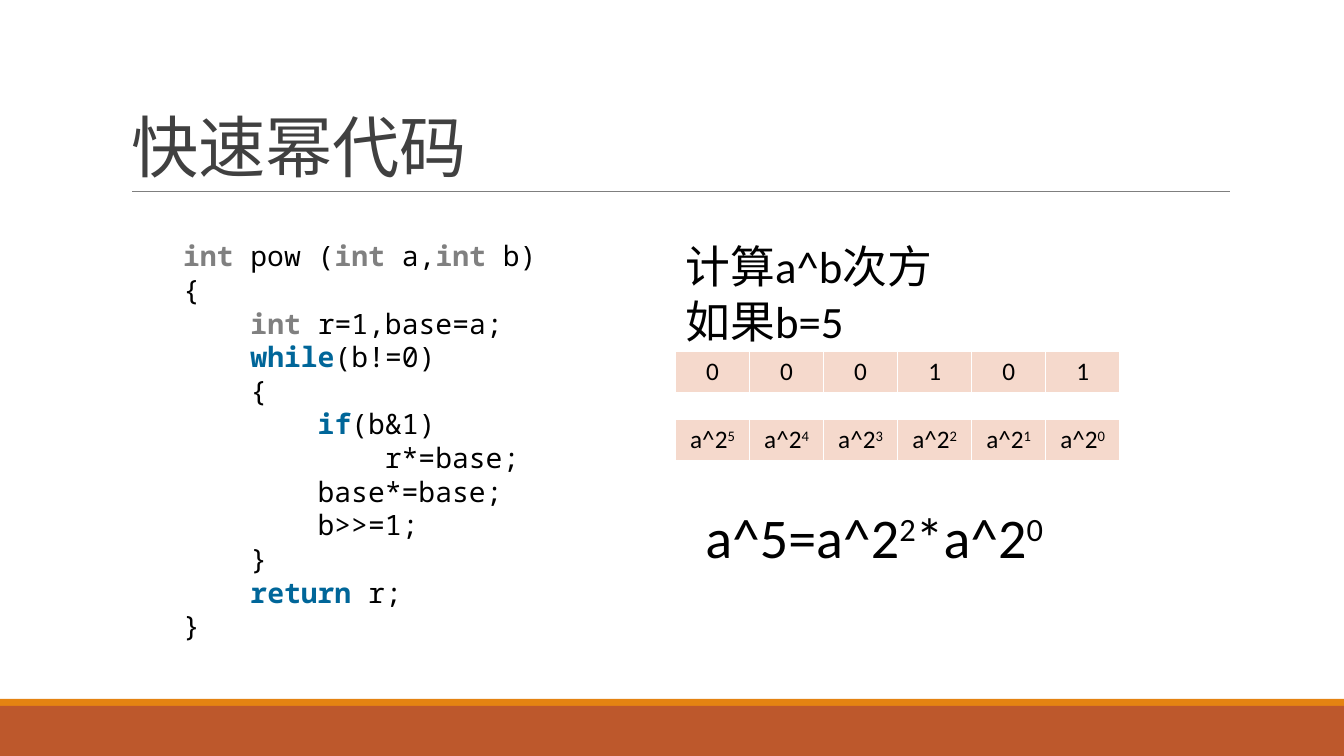
from lxml import etree
from pptx import Presentation
from pptx.dml.color import RGBColor
from pptx.enum.shapes import MSO_CONNECTOR, MSO_SHAPE
from pptx.enum.text import MSO_ANCHOR, PP_ALIGN
from pptx.oxml.ns import qn
from pptx.util import Pt

PX = 9080  # EMU per px
W, H = 1343, 755
LEFT, CENTER = PP_ALIGN.LEFT, PP_ALIGN.CENTER
TOP, MIDDLE, BOTTOM = MSO_ANCHOR.TOP, MSO_ANCHOR.MIDDLE, MSO_ANCHOR.BOTTOM
RECT, STRAIGHT = MSO_SHAPE.RECTANGLE, MSO_CONNECTOR.STRAIGHT

BODY, CJK, MONO = "Calibri", "Noto Sans CJK SC", "Noto Sans Mono"
BLACK, TYPE, KEYWORD = "000000", "808080", "006699"
COLORS = {"int": TYPE, "while": KEYWORD, "if": KEYWORD, "return": KEYWORD}

CODE = """int pow (int a,int b)
{
    int r=1,base=a;
    while(b!=0)
    {
        if(b&1)
            r*=base;
        base*=base;
        b>>=1;
    }
    return r;
}"""


def px(*lengths):
    return [round(n * PX) for n in lengths]


def rgb(color):
    return RGBColor.from_string(color)


def add_run(p, text, size=18, font=BODY, color=BLACK, bold=False, raised=False):
    r = p.add_run()
    r.text = text
    r.font.size, r.font.name, r.font.bold = Pt(size), font, bold
    r.font.color.rgb = rgb(color)
    rPr = r.font._element
    etree.SubElement(rPr, qn("a:ea")).set("typeface", CJK)
    if raised:
        rPr.set("baseline", "30000")


def add_powers(p, parts, size):
    """Every second part is an exponent."""
    for i, part in enumerate(parts):
        add_run(p, part, size=size, raised=i % 2 == 1)


def add_text_box(slide, box, anchor=TOP, inset=True):
    tf = slide.shapes.add_textbox(*px(*box)).text_frame
    tf.word_wrap = True
    tf.vertical_anchor = anchor
    if not inset:
        tf.margin_left = tf.margin_right = tf.margin_top = tf.margin_bottom = 0
    return tf


def add_lines(tf, lines, spacing):
    for i, line in enumerate(lines):
        p = tf.paragraphs[0] if i == 0 else tf.add_paragraph()
        p.line_spacing = Pt(spacing)
        yield p, line


def footer_bands(slide, box):
    x, y, w, h = box
    for top, height, color in ((y, 7, "E48312"), (y + 7, h - 7, "BD582C")):
        sp = slide.shapes.add_shape(RECT, *px(x, top, w, height))
        sp.shadow.inherit = False
        sp.fill.solid()
        sp.fill.fore_color.rgb = rgb(color)
        sp.line.fill.background()


def heading(slide, box, text):
    x, y, w, h = box
    rule = slide.shapes.add_connector(
        STRAIGHT, *px(x + 11, y + h, x + w, y + h))
    rule.line.color.rgb = rgb("7F7F7F")
    rule.line.width = Pt(0.5)
    etree.SubElement(rule._element.spPr, qn("a:effectLst"))

    title = slide.shapes.title
    title.left, title.top, title.width, title.height = px(*box)
    tf = title.text_frame
    tf.vertical_anchor = BOTTOM
    p = tf.paragraphs[0]
    p.alignment, p.line_spacing = LEFT, 0.85
    add_run(p, text, size=48, font=CJK, color="404040")


def code_listing(slide, box):
    tf = add_text_box(slide, box, anchor=MIDDLE, inset=False)
    for p, line in add_lines(tf, CODE.split("\n"), 24):
        # Split around keywords so each gets its own colour
        spaced = line.replace("(", " ( ").replace(",", " , ")
        words = [word for word in spaced.split() if word in COLORS]
        rest = line
        for word in words:
            before, rest = rest.split(word, 1)
            if before:
                add_run(p, before, size=20, font=MONO)
            add_run(p, word, size=20, font=MONO, color=COLORS[word], bold=True)
        if rest:
            add_run(p, rest, size=20, font=MONO)


def style_cell_border(cell):
    tcPr = cell._tc.get_or_add_tcPr()
    for i, side in enumerate(("a:lnL", "a:lnR", "a:lnT", "a:lnB")):
        ln = etree.Element(qn(side), w=str(Pt(0.45)))
        fill = etree.SubElement(ln, qn("a:solidFill"))
        etree.SubElement(fill, qn("a:srgbClr")).set("val", "FFFFFF")
        tcPr.insert(i, ln)


def one_row_table(slide, box, cells):
    table = slide.shapes.add_table(1, len(cells), *px(*box)).table
    for cell, parts in zip(table.rows[0].cells, cells):
        cell.fill.solid()
        cell.fill.fore_color.rgb = rgb("F5D9CC")
        style_cell_border(cell)
        p = cell.text_frame.paragraphs[0]
        p.alignment = CENTER
        add_powers(p, parts, 18)


def worked_example(slide, box):
    x, y, w, h = box
    # Problem statement
    tf = add_text_box(slide, (x, y, w, 118))
    for p, line in add_lines(tf, ("计算a^b次方", "如果b=5"), 39):
        add_run(p, line, size=32)

    # Bits of b above the matching powers of a
    one_row_table(slide, (x, y + 118, w, 41), list("000101"))
    powers = [("a^2", str(n)) for n in range(5, -1, -1)]
    one_row_table(slide, (x, y + 186, w, 41), powers)

    # Result
    tf = add_text_box(slide, (x + 20, y + h - 78, w - 20, 78))
    add_powers(tf.paragraphs[0], ("a^5=a^2", "2", "*a^2", "0"), 40)


def main():
    prs = Presentation()
    prs.slide_width, prs.slide_height = px(W, H)
    slide = prs.slides.add_slide(prs.slide_layouts[5])
    footer_bands(slide, (0, 698, W, H - 698))
    heading(slide, (121, 31, 1108, 160), "快速幂代码")
    code_listing(slide, (183, 233, 378, 414))
    worked_example(slide, (675, 233, 444, 342))
    prs.save("out.pptx")


if __name__ == "__main__":
    main()
